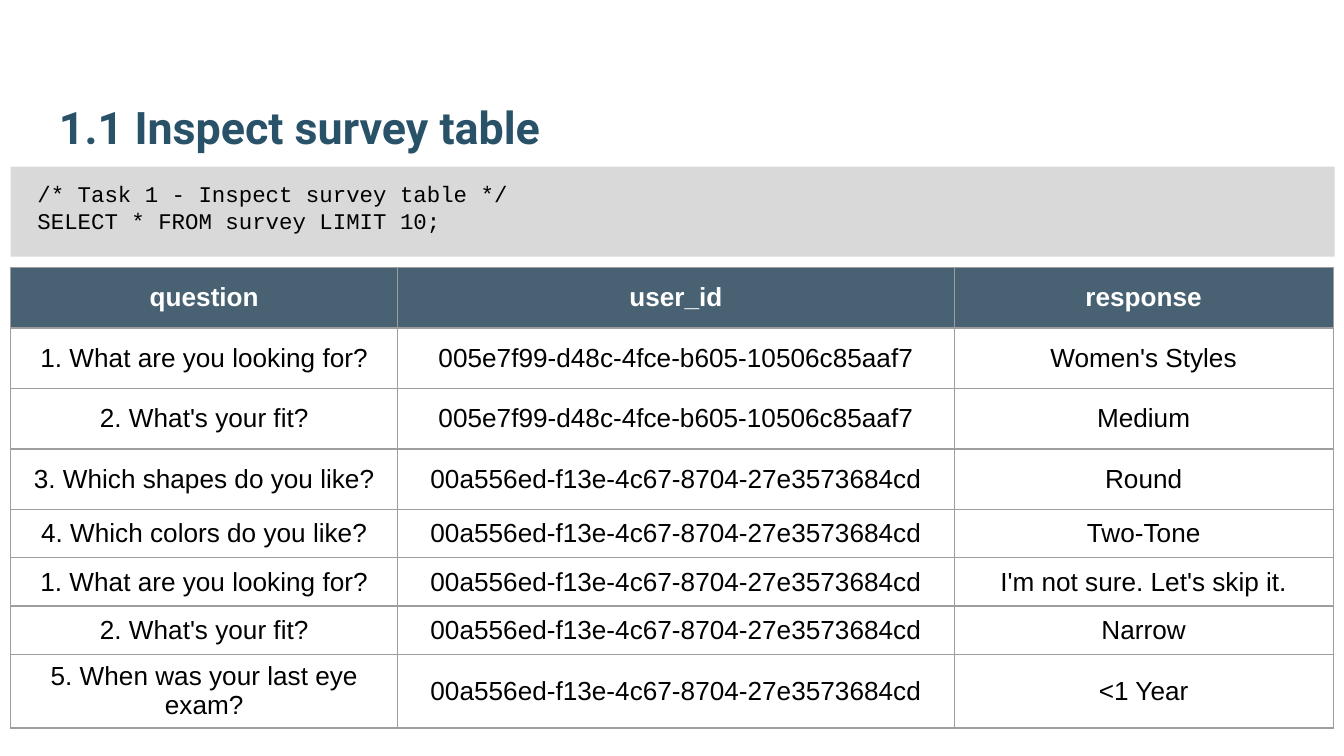
from dataclasses import dataclass

from lxml import etree
from pptx import Presentation
from pptx.dml.color import RGBColor
from pptx.enum.shapes import MSO_SHAPE
from pptx.enum.text import MSO_ANCHOR, PP_ALIGN
from pptx.oxml.ns import qn
from pptx.slide import Slide
from pptx.table import _Cell
from pptx.text.text import TextFrame
from pptx.util import Inches, Pt

RECTANGLE = MSO_SHAPE.RECTANGLE
TOP, MIDDLE, BOTTOM = MSO_ANCHOR.TOP, MSO_ANCHOR.MIDDLE, MSO_ANCHOR.BOTTOM
LEFT, CENTER = PP_ALIGN.LEFT, PP_ALIGN.CENTER

TITLE_BLUE = RGBColor(0x29, 0x52, 0x69)
HEADER_BLUE = RGBColor(0x20, 0x40, 0x56)
CODE_GREY = RGBColor(0xD9, 0xD9, 0xD9)
BORDER_GREY = RGBColor(0x9E, 0x9E, 0x9E)
BLACK = RGBColor(0, 0, 0)
WHITE = RGBColor(0xFF, 0xFF, 0xFF)

SLIDE_W = Inches(10)
SLIDE_H = SLIDE_W * 9 // 16
INSET = Inches(0.1)
CELL_INSET = Inches(0.04)
HEADER_ALPHA = 82
BORDER_WIDTH = Pt(0.75)
SIDE_MARGIN = Inches(0.08)
COLUMNS = (Inches(2.88), Inches(4.14), Inches(2.82))
CONTENT_W = Inches(9.85)
TALL_ROW, SHORT_ROW = Inches(0.45), Inches(0.36)
TALL_ROWS = 4


@dataclass(frozen=True)
class Style:
    font: str
    size: int
    color: RGBColor
    bold: bool = False
    align: PP_ALIGN = LEFT


@dataclass(frozen=True)
class Answer:
    question: str
    user_id: str
    response: str


TITLE = Style("Roboto", 24, TITLE_BLUE, bold=True)
CODE = Style("Courier New", 12, BLACK)
HEADER = Style("Arial", 14, WHITE, bold=True, align=CENTER)
BODY = Style("Arial", 14, BLACK, align=CENTER)

QUERY = " /* Task 1 - Inspect survey table */\n SELECT * FROM survey LIMIT 10;"
FIRST_USER = "005e7f99-d48c-4fce-b605-10506c85aaf7"
SECOND_USER = "00a556ed-f13e-4c67-8704-27e3573684cd"
LOOKING_FOR = "1. What are you looking for?"
FIT = "2. What's your fit?"
HEADINGS = Answer("question", "user_id", "response")
ANSWERS = (
    Answer(LOOKING_FOR, FIRST_USER, "Women's Styles"),
    Answer(FIT, FIRST_USER, "Medium"),
    Answer("3. Which shapes do you like?", SECOND_USER, "Round"),
    Answer("4. Which colors do you like?", SECOND_USER, "Two-Tone"),
    Answer(LOOKING_FOR, SECOND_USER, "I'm not sure. Let's skip it."),
    Answer(FIT, SECOND_USER, "Narrow"),
    Answer("5. When was your last eye exam?", SECOND_USER, "<1 Year"),
)


def write(tf: TextFrame, text: str, style: Style) -> None:
    tf.text = text
    for p in tf.paragraphs:
        p.alignment = style.align
        for r in p.runs:
            r.font.name = style.font
            r.font.size = Pt(style.size)
            r.font.bold = style.bold
            r.font.color.rgb = style.color


def set_frame(tf: TextFrame, anchor: MSO_ANCHOR) -> None:
    tf.word_wrap = True
    tf.vertical_anchor = anchor
    tf.margin_left = tf.margin_right = INSET
    tf.margin_top = tf.margin_bottom = INSET


def add_title(s: Slide, text: str) -> None:
    margin = Inches(0.34)
    sp = s.shapes.add_textbox(margin, Inches(0.32), SLIDE_W - 2 * margin, Inches(0.92))
    set_frame(sp.text_frame, BOTTOM)
    write(sp.text_frame, text, TITLE)


def add_code(s: Slide, text: str) -> None:
    sp = s.shapes.add_shape(RECTANGLE, SIDE_MARGIN, Inches(1.24), CONTENT_W, Inches(0.67))
    sp.shadow.inherit = False
    sp.fill.solid()
    sp.fill.fore_color.rgb = CODE_GREY
    sp.line.fill.background()
    set_frame(sp.text_frame, TOP)
    write(sp.text_frame, text, CODE)


def set_borders(cell: _Cell) -> None:
    tc_pr = cell._tc.get_or_add_tcPr()
    for side in ("a:lnL", "a:lnR", "a:lnT", "a:lnB"):
        ln = etree.SubElement(tc_pr, qn(side), w=str(BORDER_WIDTH))
        fill = etree.SubElement(ln, qn("a:solidFill"))
        etree.SubElement(fill, qn("a:srgbClr"), val=str(BORDER_GREY))


def fill_header(cell: _Cell) -> None:
    cell.fill.solid()
    cell.fill.fore_color.rgb = HEADER_BLUE
    color = cell._tc.tcPr.find(f"{qn('a:solidFill')}/{qn('a:srgbClr')}")
    etree.SubElement(color, qn("a:alpha"), val=str(HEADER_ALPHA * 1000))


def add_answers(s: Slide, rows: tuple[Answer, ...]) -> None:
    heights = [TALL_ROW if i < TALL_ROWS else SHORT_ROW for i in range(len(rows))]
    table = s.shapes.add_table(
        len(rows), len(COLUMNS), SIDE_MARGIN, Inches(1.99), CONTENT_W, sum(heights)
    ).table
    table.first_row = table.horz_banding = False
    for column, width in zip(table.columns, COLUMNS):
        column.width = width
    for i, (answer, height) in enumerate(zip(rows, heights)):
        table.rows[i].height = height
        for j, text in enumerate((answer.question, answer.user_id, answer.response)):
            cell = table.cell(i, j)
            cell.vertical_anchor = MIDDLE
            cell.margin_top = cell.margin_bottom = CELL_INSET
            set_borders(cell)
            if i == 0:
                fill_header(cell)
            else:
                cell.fill.background()
            write(cell.text_frame, text, BODY if i else HEADER)


def main() -> None:
    prs = Presentation()
    prs.slide_width, prs.slide_height = SLIDE_W, SLIDE_H
    s = prs.slides.add_slide(prs.slide_layouts[6])
    add_title(s, "1.1 Inspect survey table")
    add_answers(s, (HEADINGS, *ANSWERS))
    add_code(s, QUERY)
    prs.save("out.pptx")


if __name__ == "__main__":
    main()
